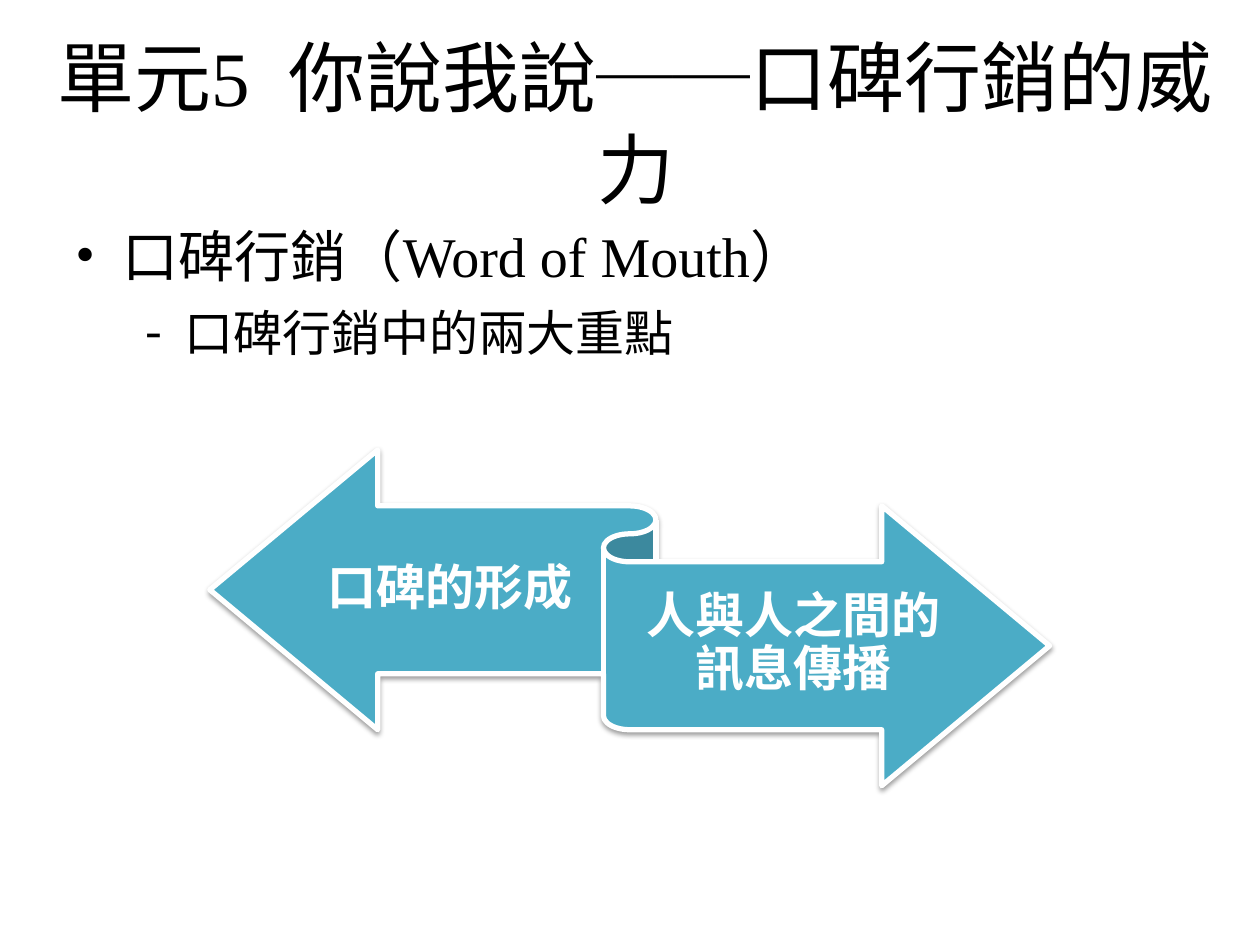
from dataclasses import dataclass

from lxml.etree import SubElement
from pptx import Presentation
from pptx.dml.color import RGBColor
from pptx.enum.shapes import MSO_SHAPE
from pptx.enum.text import MSO_ANCHOR, PP_ALIGN
from pptx.oxml.ns import qn
from pptx.util import Cm, Pt


@dataclass(frozen=True)
class Theme:
    text: RGBColor = RGBColor(0, 0, 0)
    light: RGBColor = RGBColor(255, 255, 255)
    ribbon: RGBColor = RGBColor(0x4B, 0xAC, 0xC6)
    serif: str = "Times New Roman"
    sans: str = "Noto Sans CJK SC"
    title: Pt = Pt(44)
    body: Pt = Pt(32)
    detail: Pt = Pt(28)


theme = Theme()


def add_text_box(slide, left, top, width, height, anchor):
    frame = slide.shapes.add_textbox(Cm(left), Cm(top), Cm(width), Cm(height)).text_frame
    frame.word_wrap = True
    frame.vertical_anchor = anchor
    return frame


def write(paragraph, text, size, color, typeface, bold=False):
    paragraph.text = text
    font = paragraph.font
    font.size, font.name, font.bold = size, typeface, bold
    font.color.rgb = color
    properties = paragraph._p.pPr.find(qn("a:defRPr"))
    SubElement(properties, qn("a:ea"), typeface=theme.sans)


presentation = Presentation()
presentation.slide_width = Cm(25.4)
presentation.slide_height = Cm(19.05)
slide = presentation.slides.add_slide(presentation.slide_layouts[6])

title = add_text_box(slide, 0.56, 0.61, 24.51, 3.68, MSO_ANCHOR.MIDDLE).paragraphs[0]
title.alignment = PP_ALIGN.CENTER
write(title, "單元5  你說我說──口碑行銷的威力", theme.title, theme.text, theme.serif)

body = add_text_box(slide, 1.27, 4.34, 23.8, 13.36, MSO_ANCHOR.TOP)
bullets = [
    ("口碑行銷（Word of Mouth）", "•", theme.body, 0.95, 0.95),
    ("口碑行銷中的兩大重點", "-", theme.detail, 2.2, 0.79),
]
for level, (text, bullet, size, margin, hanging) in enumerate(bullets):
    paragraph = body.add_paragraph() if level else body.paragraphs[0]
    paragraph.level = level
    properties = paragraph._p.get_or_add_pPr()
    properties.set("marL", str(Cm(margin)))
    properties.set("indent", str(-Cm(hanging)))
    SubElement(properties, qn("a:buFont"), typeface=theme.serif)
    SubElement(properties, qn("a:buChar"), char=bullet)
    paragraph.space_before = Pt(7.7)
    write(paragraph, text, size, theme.text, theme.serif)

ribbon = slide.shapes.add_shape(
    MSO_SHAPE.LEFT_RIGHT_RIBBON, Cm(4.23), Cm(9.07), Cm(16.93), Cm(6.77)
)
ribbon.fill.solid()
ribbon.fill.fore_color.rgb = theme.ribbon
ribbon.line.color.rgb = theme.light
ribbon.line.width = Pt(3)
ribbon.shadow.inherit = False
effects = ribbon._element.spPr.find(qn("a:effectLst"))
shadow = SubElement(
    effects, qn("a:outerShdw"), blurRad=str(Pt(3.1)), dist=str(Pt(1.6)),
    dir="5400000", rotWithShape="0",
)
shadow_color = SubElement(shadow, qn("a:srgbClr"), val=str(theme.text))
SubElement(shadow_color, qn("a:alpha"), val="38000")

labels = [
    ("口碑的形成", 6.27, 10.24, 5.59),
    ("人與人之間的訊息傳播", 12.7, 11.33, 6.6),
]
for text, left, top, width in labels:
    frame = add_text_box(slide, left, top, width, 3.33, MSO_ANCHOR.MIDDLE)
    frame.margin_left = frame.margin_right = 0
    frame.margin_top, frame.margin_bottom = Cm(0.28), Cm(0.3)
    paragraph = frame.paragraphs[0]
    paragraph.alignment = PP_ALIGN.CENTER
    paragraph.line_spacing = 0.9
    write(paragraph, text, theme.detail, theme.light, theme.sans, bold=True)

presentation.save("out.pptx")
